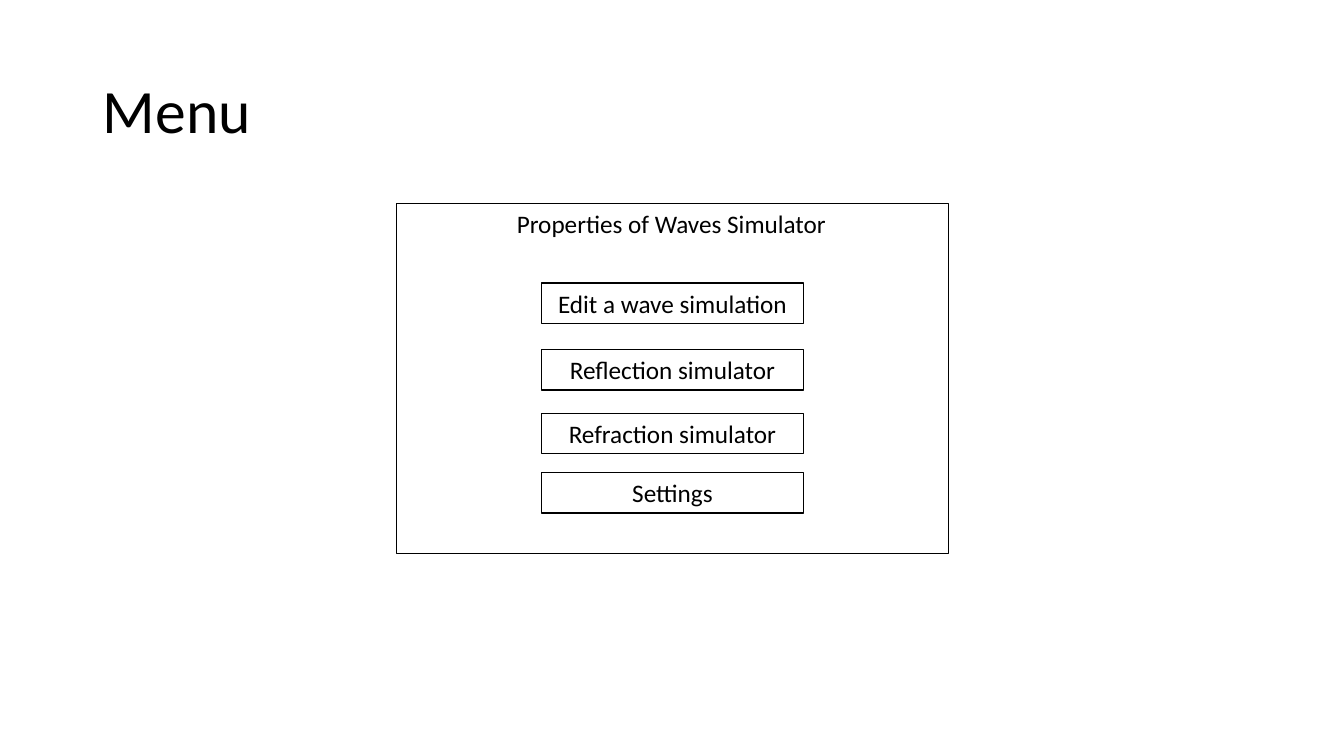
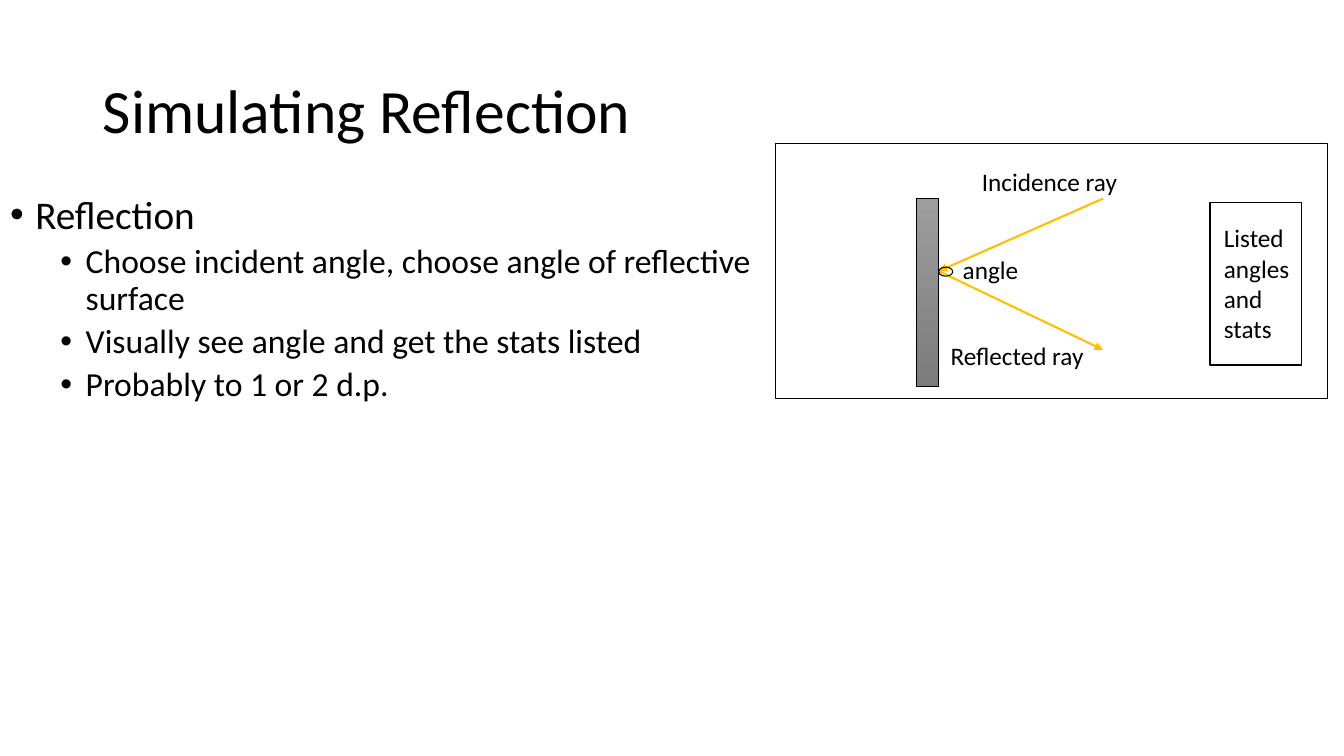
from pptx import Presentation
from pptx import util as u
from pptx.dml.color import RGBColor
from pptx.enum import shapes, text
from pptx.oxml.ns import qn
from lxml import etree

FONT, BLACK, WHITE, RAY = "Calibri", "000000", "FFFFFF", "FFC000"
LEFT, CENTER = text.PP_ALIGN.LEFT, text.PP_ALIGN.CENTER
TITLE_ONLY, TITLE_AND_BODY = 5, 1

PANEL_LEFT, PANEL_WIDTH = 3.93, 5.48
BUTTON_WIDTH, BUTTON_HEIGHT = 2.6, 0.4
MENU_HEADING = "Properties of Waves Simulator"
BUTTONS = [
    ("Edit a wave simulation", 2.81),
    ("Reflection simulator", 3.47),
    ("Refraction simulator", 4.1),
    ("Settings", 4.69),
]

BULLETS = [
    (0, "Reflection"),
    (1, "Choose incident angle, choose angle of reflective surface"),
    (1, "Visually see angle and get the stats listed"),
    (1, "Probably to 1 or 2 d.p."),
]
# Per level: text size, space before, left margin
BULLET_STYLES = [(28, 10, 0.25), (24, 5, 0.75)]
HIT_POINT = (9.31, 2.69)
RAYS = [((10.94, 1.97), HIT_POINT), (HIT_POINT, (10.94, 3.47))]
LABELS = [
    ("angle", (9.45, 2.47, 1.09, 0.4)),
    ("Incidence ray", (9.64, 1.6, 1.63, 0.4)),
    ("Reflected ray", (9.33, 3.33, 1.63, 0.4)),
]


def color(value):
    return RGBColor.from_string(value)


def inches(values):
    return [u.Inches(value) for value in values]


def place(shape, box):
    shape.left, shape.top, shape.width, shape.height = inches(box)


def write(paragraph, words, size=18, align=LEFT, spacing=None, before=None):
    paragraph.alignment = align
    paragraph.line_spacing = spacing
    if before is not None:
        paragraph.space_before = u.Pt(before)
    run = paragraph.add_run()
    run.text = words
    run.font.name, run.font.size = FONT, u.Pt(size)
    run.font.color.rgb = color(BLACK)


def add_label(slide, words, box, align=LEFT):
    frame = slide.shapes.add_textbox(*inches(box)).text_frame
    frame.word_wrap = True
    write(frame.paragraphs[0], words, align=align)


def add_box(slide, box, fill=None, line=0.75, words=None,
            kind=shapes.MSO_SHAPE.RECTANGLE):
    shape = slide.shapes.add_shape(kind, *inches(box))
    shape.shadow.inherit = False
    if fill:
        shape.fill.solid()
        shape.fill.fore_color.rgb = color(fill)
    else:
        shape.fill.background()
    shape.line.color.rgb = color(BLACK)
    shape.line.width = u.Pt(line)
    if words:
        write(shape.text_frame.paragraphs[0], words, align=CENTER)
    return shape


def add_ray(slide, start, end):
    ray = slide.shapes.add_connector(
        shapes.MSO_CONNECTOR.STRAIGHT, *inches(start + end))
    ray.line.color.rgb = color(RAY)
    ray.line.width = u.Pt(1.5)
    etree.SubElement(ray.line._get_or_add_ln(), qn("a:tailEnd"), type="triangle")
    etree.SubElement(ray._element.spPr, qn("a:effectLst"))


def add_slide(presentation, layout, title):
    slide = presentation.slides.add_slide(presentation.slide_layouts[layout])
    place(slide.shapes.title, (0.92, 0.4, 11.5, 1.45))
    frame = slide.shapes.title.text_frame
    frame.vertical_anchor = text.MSO_ANCHOR.MIDDLE
    frame.auto_size = text.MSO_AUTO_SIZE.NONE
    write(frame.paragraphs[0], title, size=44, spacing=0.9)
    return slide


def fill_body(body, bullets):
    frame = body.text_frame
    frame.auto_size = text.MSO_AUTO_SIZE.NONE
    for index, (level, words) in enumerate(bullets):
        paragraph = frame.add_paragraph() if index else frame.paragraphs[0]
        paragraph.level = level
        size, before, margin = BULLET_STYLES[level]
        write(paragraph, words, size=size, spacing=0.9, before=before)
        properties = paragraph._p.get_or_add_pPr()
        properties.set("marL", str(u.Inches(margin)))
        properties.set("indent", str(u.Inches(-0.25)))
        etree.SubElement(properties, qn("a:buFont"), typeface="Arial")
        etree.SubElement(properties, qn("a:buChar"), char="•")


def build_menu(presentation):
    slide = add_slide(presentation, TITLE_ONLY, "Menu")
    add_box(slide, (PANEL_LEFT, 2.02, PANEL_WIDTH, 3.47))
    add_label(slide, MENU_HEADING, (4.73, 2.02, 3.86, 0.4), align=CENTER)
    left = PANEL_LEFT + (PANEL_WIDTH - BUTTON_WIDTH) / 2
    for words, top in BUTTONS:
        add_box(slide, (left, top, BUTTON_WIDTH, BUTTON_HEIGHT),
                fill=WHITE, line=1, words=words)


def build_reflection(presentation):
    slide = add_slide(presentation, TITLE_AND_BODY, "Simulating Reflection")
    body = slide.placeholders[1]
    place(body, (0, 1.89, 7.57, 2.85))
    fill_body(body, BULLETS)

    add_box(slide, (7.69, 1.42, PANEL_WIDTH, 2.53))
    mirror = add_box(slide, (9.09, 1.97, 0.22, 1.86), line=0.5)
    mirror.fill.gradient()
    mirror.fill.gradient_angle = 270
    for stop, shade in zip(mirror.fill.gradient_stops, ("9D9D9D", "7C7C7C")):
        stop.color.rgb = color(shade)
    for start, end in RAYS:
        add_ray(slide, start, end)
    add_box(slide, (9.31, 2.65, 0.14, 0.09), kind=shapes.MSO_SHAPE.OVAL)
    for words, box in LABELS:
        add_label(slide, words, box)
    add_box(slide, (12, 2.01, 0.91, 1.61), fill=WHITE, line=1)
    add_label(slide, "Listed angles and stats", (12.04, 2.16, 1.08, 1.31))


def main():
    presentation = Presentation()
    presentation.slide_width, presentation.slide_height = inches((13.33, 7.5))
    build_menu(presentation)
    build_reflection(presentation)
    presentation.save("out.pptx")


if __name__ == "__main__":
    main()
